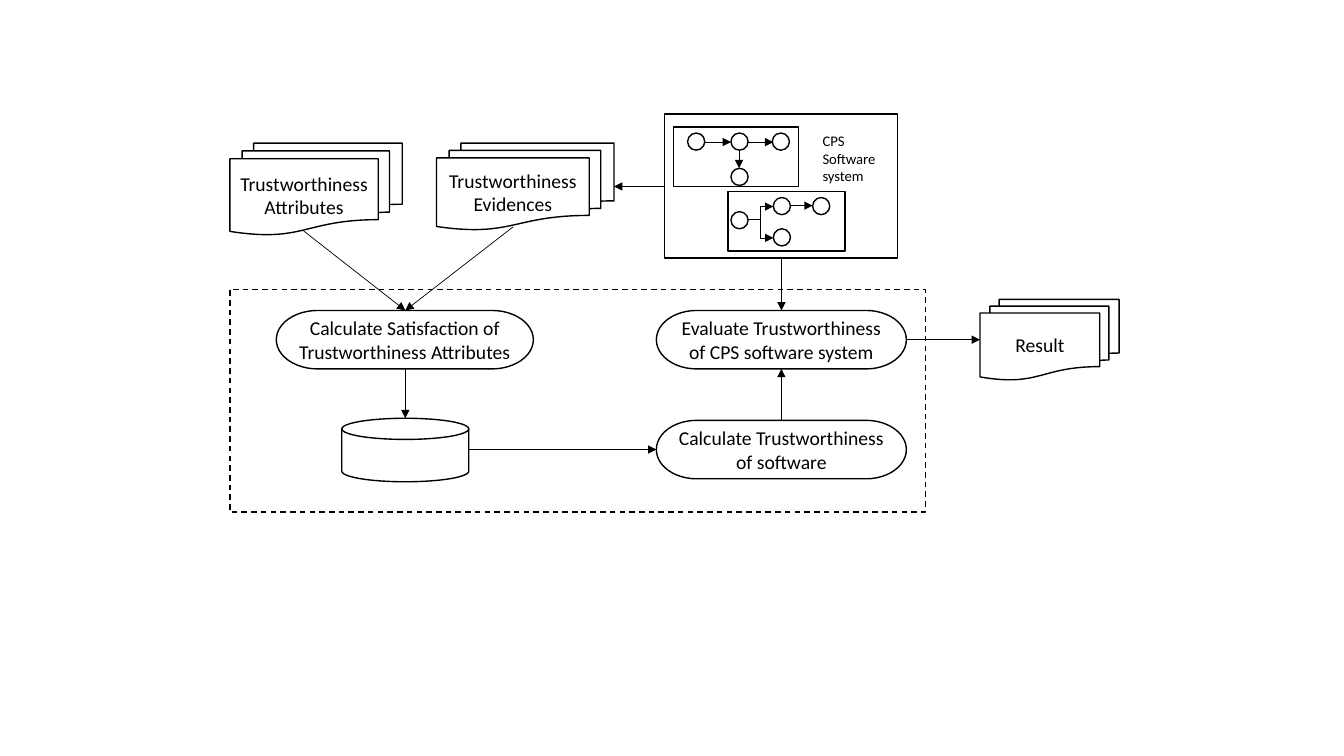
"""Builds a flow chart slide on evaluating the trustworthiness of a CPS software system."""
from lxml.etree import SubElement
from pptx import Presentation
from pptx.dml.color import RGBColor
from pptx.enum.dml import MSO_LINE
from pptx.enum.shapes import MSO_CONNECTOR, MSO_SHAPE
from pptx.enum.text import MSO_ANCHOR, PP_ALIGN
from pptx.oxml.ns import qn
from pptx.util import Inches, Pt

BLACK = RGBColor(0, 0, 0)
WHITE = RGBColor(255, 255, 255)
CELL = Inches(0.1)

prs = Presentation()
prs.slide_width, prs.slide_height = Inches(13.33), Inches(7.5)
s = prs.slides.add_slide(prs.slide_layouts[6])


def grid(*cells):
    """Turn grid cells into lengths."""
    return [round(c * CELL) for c in cells]


def add_text(sp, text, size, align):
    """Write one wrapped run of text into a shape."""
    tf = sp.text_frame
    tf.word_wrap = True
    p = tf.paragraphs[0]
    p.alignment = align
    r = p.add_run()
    r.text = text
    r.font.name, r.font.size = "Calibri", Pt(size)
    r.font.color.rgb = BLACK


DOCS, STEP = MSO_SHAPE.FLOWCHART_MULTIDOCUMENT, MSO_SHAPE.FLOWCHART_TERMINATOR
DISK, BOX, NODE = MSO_SHAPE.FLOWCHART_MAGNETIC_DISK, MSO_SHAPE.RECTANGLE, MSO_SHAPE.OVAL

left_x, right_x = 40.2, 77.5
step_y, store_y, step_h = 30.8, 41.7, 5.8
right_left, right_w = 65.1, 24.8
node = 1.7
node_spots = [(68.2, 13.2), (72.5, 13.2), (76.6, 13.2), (72.5, 16.7),
              (72.5, 21), (76.7, 19.6), (80.6, 19.6), (76.7, 22.7)]

shapes = [
    (DOCS, 22.8, 14.2, 17.1, 9.1, "Trustworthiness Attributes"),
    (DOCS, 43.3, 14.2, 17.6, 8.6, "Trustworthiness Evidences"),
    (DOCS, 97.2, 29.7, 13.8, 8, "Result"),
    (STEP, 27.4, step_y, 25.5, step_h, "Calculate Satisfaction of Trustworthiness Attributes"),
    (STEP, right_left, step_y, right_w, step_h, "Evaluate Trustworthiness of CPS software system"),
    (STEP, right_left, store_y, right_w, step_h, "Calculate Trustworthiness of software"),
    (DISK, 33.9, 41.5, 12.6, 6.3, ""),
    (BOX, 65.9, 11.3, 23.1, 14.3, ""),
    (BOX, 66.8, 12.6, 12.4, 5.9, ""),
    (BOX, 72.2, 19, 11.6, 5.9, ""),
] + [(NODE, x, y, node, node, "") for x, y in node_spots]

for kind, x, y, w, h, text in shapes:
    sp = s.shapes.add_shape(kind, *grid(x, y, w, h))
    sp.shadow.inherit = False
    sp.fill.solid()
    sp.fill.fore_color.rgb = WHITE
    sp.line.color.rgb, sp.line.width = BLACK, Pt(1)
    if text:
        sp.text_frame.vertical_anchor = MSO_ANCHOR.MIDDLE
        add_text(sp, text, 14, PP_ALIGN.CENTER)

label = s.shapes.add_textbox(*grid(80.6, 12.6, 7.6, 6.3))
add_text(label, "CPS Software system", 10.5, PP_ALIGN.LEFT)

STRAIGHT, ELBOW = MSO_CONNECTOR.STRAIGHT, MSO_CONNECTOR.ELBOW
arrows = [
    (STRAIGHT, 30.1, 22.9, left_x, step_y),
    (STRAIGHT, 50.9, 22.5, left_x, step_y),
    (STRAIGHT, left_x, step_y + step_h, left_x, 41.5),
    (STRAIGHT, 46.5, 44.6, right_left, 44.6),
    (STRAIGHT, right_x, store_y, right_x, step_y + step_h),
    (STRAIGHT, right_x, 25.7, right_x, step_y),
    (STRAIGHT, 65.9, 18.5, 60.9, 18.5),
    (STRAIGHT, right_left + right_w, 33.7, 97.2, 33.7),
    (STRAIGHT, 69.9, 14.1, 72.5, 14.1),
    (STRAIGHT, 74.2, 14.1, 76.7, 14.1),
    (STRAIGHT, 73.3, 15, 73.3, 16.7),
    (STRAIGHT, 78.4, 20.4, 80.6, 20.4),
    (ELBOW, 74.2, 21.8, 76.7, 20.5),
    (ELBOW, 74.2, 21.8, 76.7, 23.6),
]
for kind, *ends in arrows:
    arrow = s.shapes.add_connector(kind, *grid(*ends))
    arrow.line.color.rgb, arrow.line.width = BLACK, Pt(0.5)
    SubElement(arrow.line._get_or_add_ln(), qn("a:tailEnd"), type="triangle")
    SubElement(arrow._element.spPr, qn("a:effectLst"))

frame = s.shapes.add_shape(BOX, *grid(22.8, 28.7, 69, 22.1))
frame.shadow.inherit = False
frame.fill.background()
frame.line.color.rgb, frame.line.width = BLACK, Pt(1)
frame.line.dash_style = MSO_LINE.DASH

prs.save("out.pptx")
